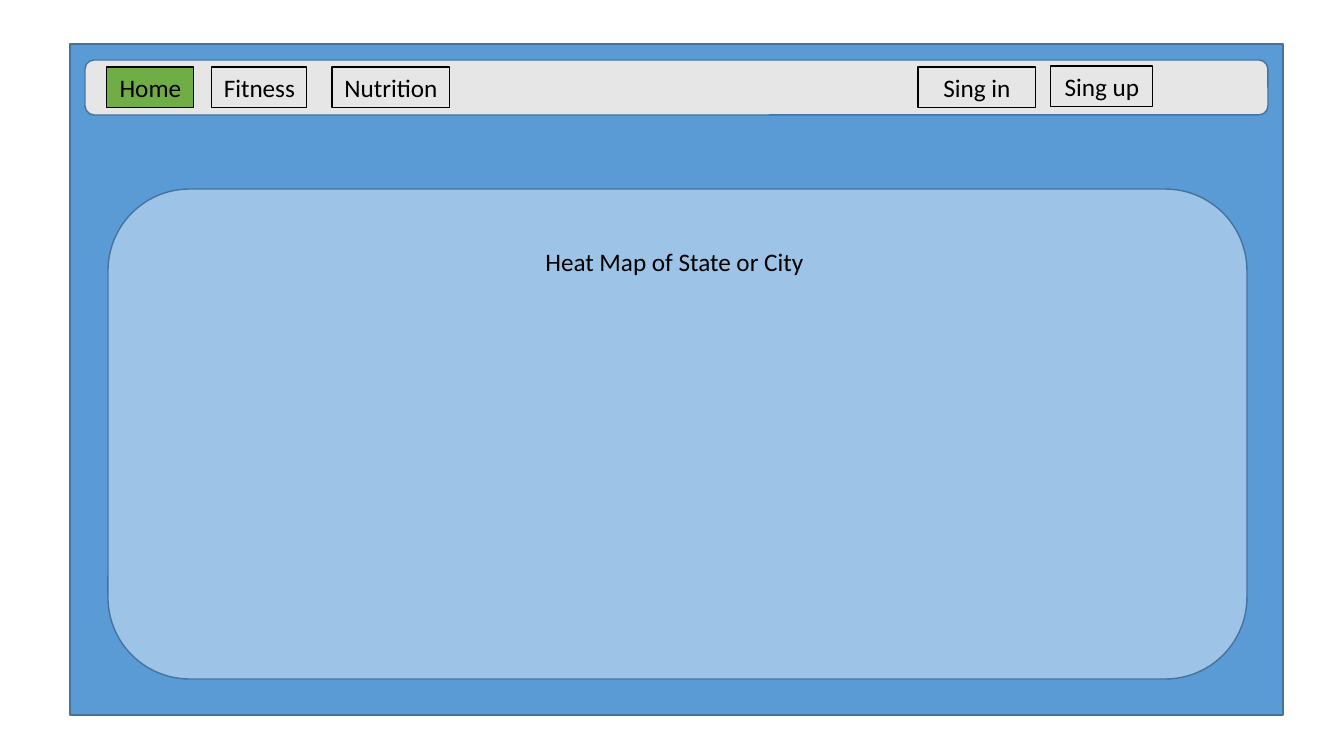
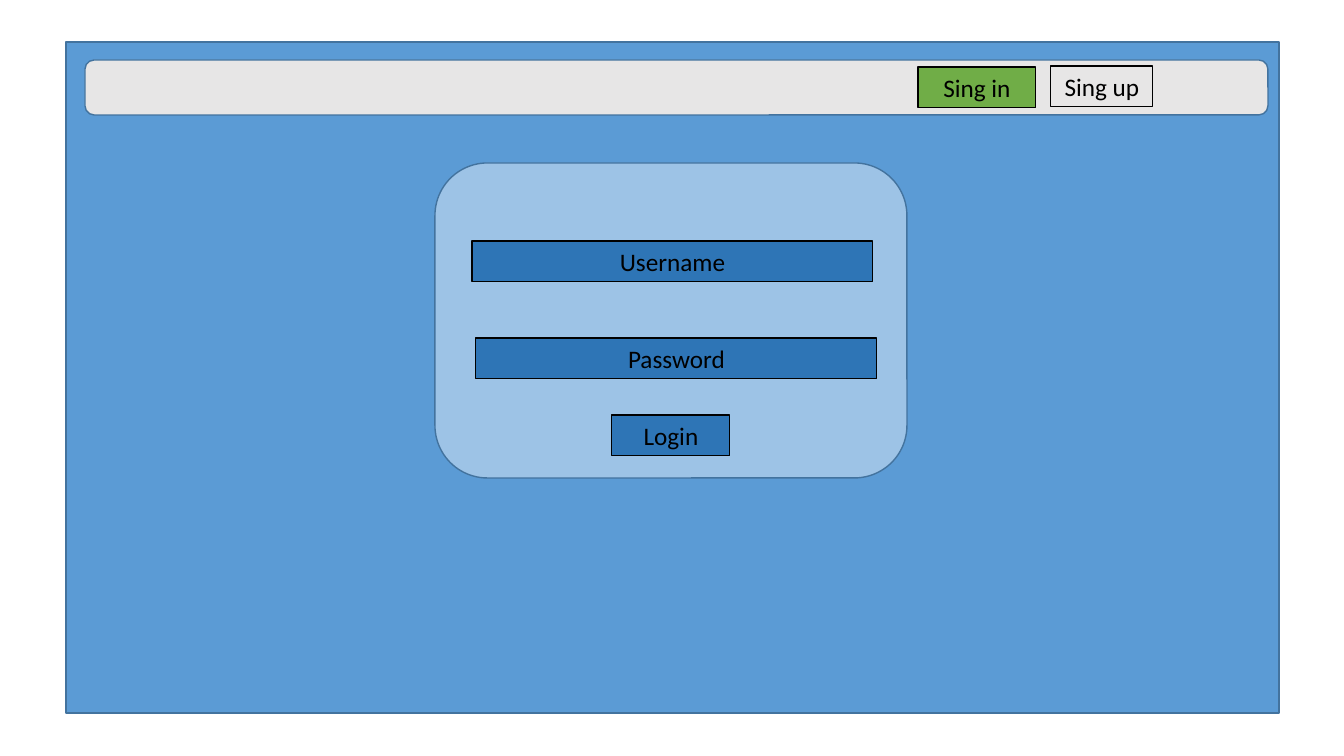
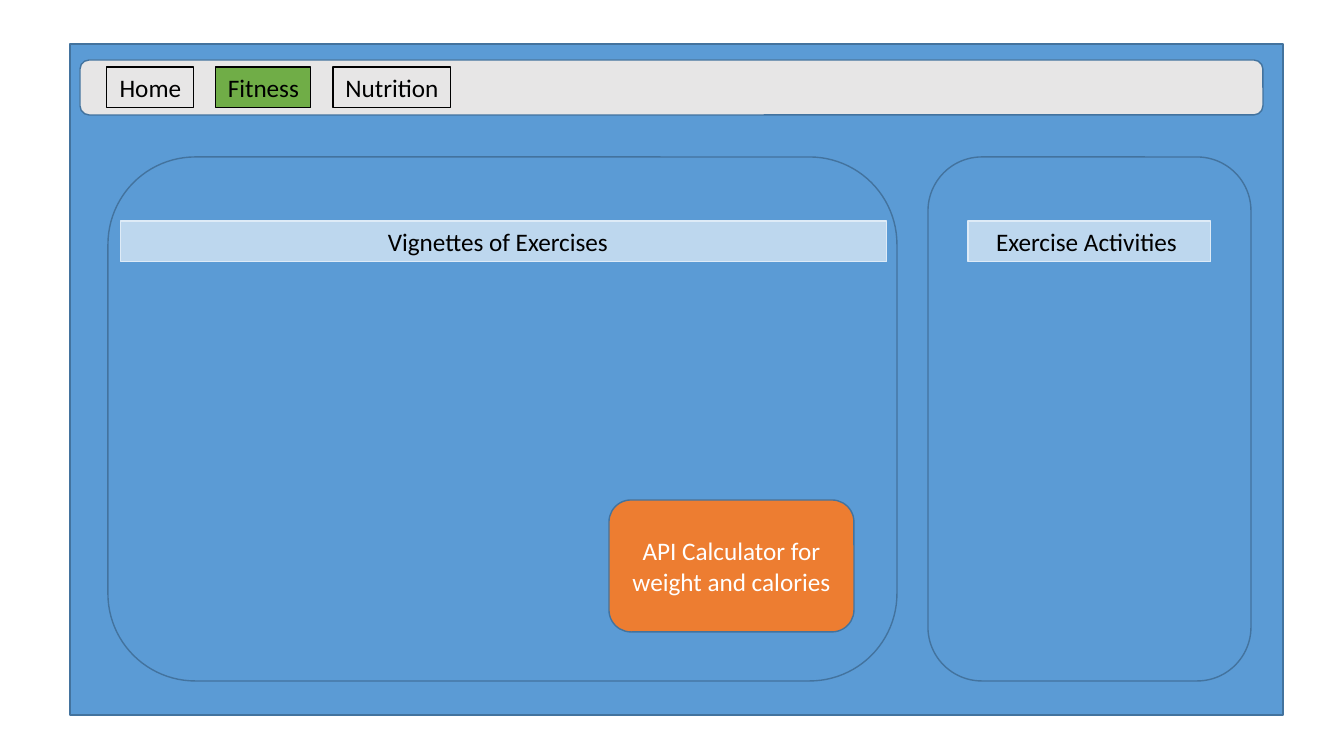
from dataclasses import dataclass
from typing import Optional

import pptx
import pptx.dml.color
import pptx.enum.shapes
import pptx.enum.text
import pptx.util

RGBColor = pptx.dml.color.RGBColor
MSO_SHAPE = pptx.enum.shapes.MSO_SHAPE

# Lengths are pixels, 100.8 to the inch
EMU_PER_PIXEL = 914400 / 100.8
SLIDE_WIDTH, SLIDE_HEIGHT = 1344, 756
LABEL_HEIGHT = 41

# Colours
BLACK = RGBColor(0x00, 0x00, 0x00)
WHITE = RGBColor(0xFF, 0xFF, 0xFF)
PAGE_BLUE = RGBColor(0x5B, 0x9B, 0xD5)
PANEL_BLUE = RGBColor(0x9D, 0xC3, 0xE6)
FIELD_BLUE = RGBColor(0x2E, 0x75, 0xB6)
HEADING_BLUE = RGBColor(0xBD, 0xD7, 0xEE)
HEADING_EDGE = RGBColor(0xDE, 0xEB, 0xF7)
EDGE_BLUE = RGBColor(0x43, 0x73, 0x9E)
BAR_GREY = RGBColor(0xE7, 0xE6, 0xE6)
ACTIVE_GREEN = RGBColor(0x70, 0xAD, 0x47)
ORANGE = RGBColor(0xED, 0x7D, 0x31)

FONT_FORMAT = {"name": "Calibri", "size": pptx.util.Pt(18)}


@dataclass(frozen=True)
class Panel:
    left: int
    top: int
    width: int
    height: int
    fill: RGBColor
    rounded: bool = True
    text: str = ""


@dataclass(frozen=True)
class Label:
    text: str
    left: int
    top: int
    width: int
    fill: Optional[RGBColor] = None
    line: Optional[RGBColor] = BLACK
    right_inset: int = 10


@dataclass(frozen=True)
class Screen:
    frame: tuple[int, int]
    bar_left: int
    buttons: list[Label]
    content: list[Panel | Label]


def px(pixels: float) -> pptx.util.Emu:
    return pptx.util.Emu(round(pixels * EMU_PER_PIXEL))


def write_text(shape, text: str, color: RGBColor, frame_format: dict) -> None:
    frame = shape.text_frame
    for name, value in frame_format.items():
        setattr(frame, name, value)
    paragraph = frame.paragraphs[0]
    paragraph.alignment = pptx.enum.text.PP_ALIGN.CENTER
    run = paragraph.add_run()
    run.text = text
    for name, value in FONT_FORMAT.items():
        setattr(run.font, name, value)
    run.font.color.rgb = color


def paint(shape, fill: Optional[RGBColor], line: Optional[RGBColor], width: float) -> None:
    shape.shadow.inherit = False
    if fill is None:
        shape.fill.background()
    else:
        shape.fill.solid()
        shape.fill.fore_color.rgb = fill
    shape.line.color.rgb = line
    shape.line.width = pptx.util.Pt(width)


def draw_panel(slide, panel: Panel) -> None:
    kind = MSO_SHAPE.ROUNDED_RECTANGLE if panel.rounded else MSO_SHAPE.RECTANGLE
    box = (px(panel.left), px(panel.top), px(panel.width), px(panel.height))
    shape = slide.shapes.add_shape(kind, *box)
    paint(shape, panel.fill, EDGE_BLUE, 1)
    if panel.text:
        write_text(shape, panel.text, WHITE, {
            "word_wrap": True,
            "vertical_anchor": pptx.enum.text.MSO_ANCHOR.MIDDLE,
        })


def draw_label(slide, label: Label) -> None:
    box = (px(label.left), px(label.top), px(label.width), px(LABEL_HEIGHT))
    if label.line is None:
        shape = slide.shapes.add_textbox(*box)
    else:
        shape = slide.shapes.add_shape(MSO_SHAPE.RECTANGLE, *box)
        paint(shape, label.fill, label.line, 0.75)
    write_text(shape, label.text, BLACK, {
        "word_wrap": True,
        "auto_size": pptx.enum.text.MSO_AUTO_SIZE.SHAPE_TO_FIT_TEXT,
        "vertical_anchor": pptx.enum.text.MSO_ANCHOR.TOP,
        "margin_right": px(label.right_inset),
    })


def draw_screen(presentation, screen: Screen) -> None:
    slide = presentation.slides.add_slide(presentation.slide_layouts[6])
    # Page frame and navigation bar
    draw_panel(slide, Panel(*screen.frame, 1213, 671, PAGE_BLUE, rounded=False))
    draw_panel(slide, Panel(screen.bar_left, 60, 1183, 55, BAR_GREY))
    for item in screen.buttons + screen.content:
        if isinstance(item, Panel):
            draw_panel(slide, item)
        else:
            draw_label(slide, item)


# Navigation buttons
def home(fill: Optional[RGBColor] = None) -> Label:
    return Label("Home", 107, 67, 87, fill)


def fitness(left: int, fill: Optional[RGBColor] = None) -> Label:
    return Label("Fitness", left, 67, 95, fill)


def nutrition(left: int, top: int) -> Label:
    return Label("Nutrition", left, top, 118)


def sign_buttons(fill: Optional[RGBColor] = None) -> list[Label]:
    return [Label("Sing up", 1051, 66, 102), Label("Sing in", 918, 67, 118, fill)]


SCREENS = [
    # Home
    Screen(
        (70, 44), 85,
        sign_buttons() + [home(ACTIVE_GREEN), fitness(212), nutrition(332, 67)],
        [
            Panel(108, 189, 1139, 490, PANEL_BLUE),
            Label("Heat Map of State or City", 195, 241, 959, line=None),
        ],
    ),
    # Sign in
    Screen(
        (66, 42), 85,
        sign_buttons(ACTIVE_GREEN),
        [
            Panel(435, 163, 472, 315, PANEL_BLUE),
            Label("Username", 472, 241, 401, FIELD_BLUE),
            Label("Password", 476, 338, 401, FIELD_BLUE),
            Label("Login", 612, 415, 118, FIELD_BLUE),
        ],
    ),
    # Fitness
    Screen(
        (70, 44), 80,
        [home(), fitness(216, ACTIVE_GREEN), nutrition(333, 67)],
        [
            Panel(108, 157, 789, 524, PAGE_BLUE),
            Label("Vignettes of Exercises", 121, 221, 766, HEADING_BLUE, HEADING_EDGE, 22),
            Panel(928, 157, 323, 524, PAGE_BLUE),
            Label("Exercise Activities", 968, 221, 243, HEADING_BLUE, HEADING_EDGE, 16),
            Panel(609, 500, 245, 132, ORANGE, text="API Calculator for weight and calories"),
        ],
    ),
]


def main() -> None:
    presentation = pptx.Presentation()
    presentation.slide_width = px(SLIDE_WIDTH)
    presentation.slide_height = px(SLIDE_HEIGHT)
    for screen in SCREENS:
        draw_screen(presentation, screen)
    presentation.save("out.pptx")


main()
